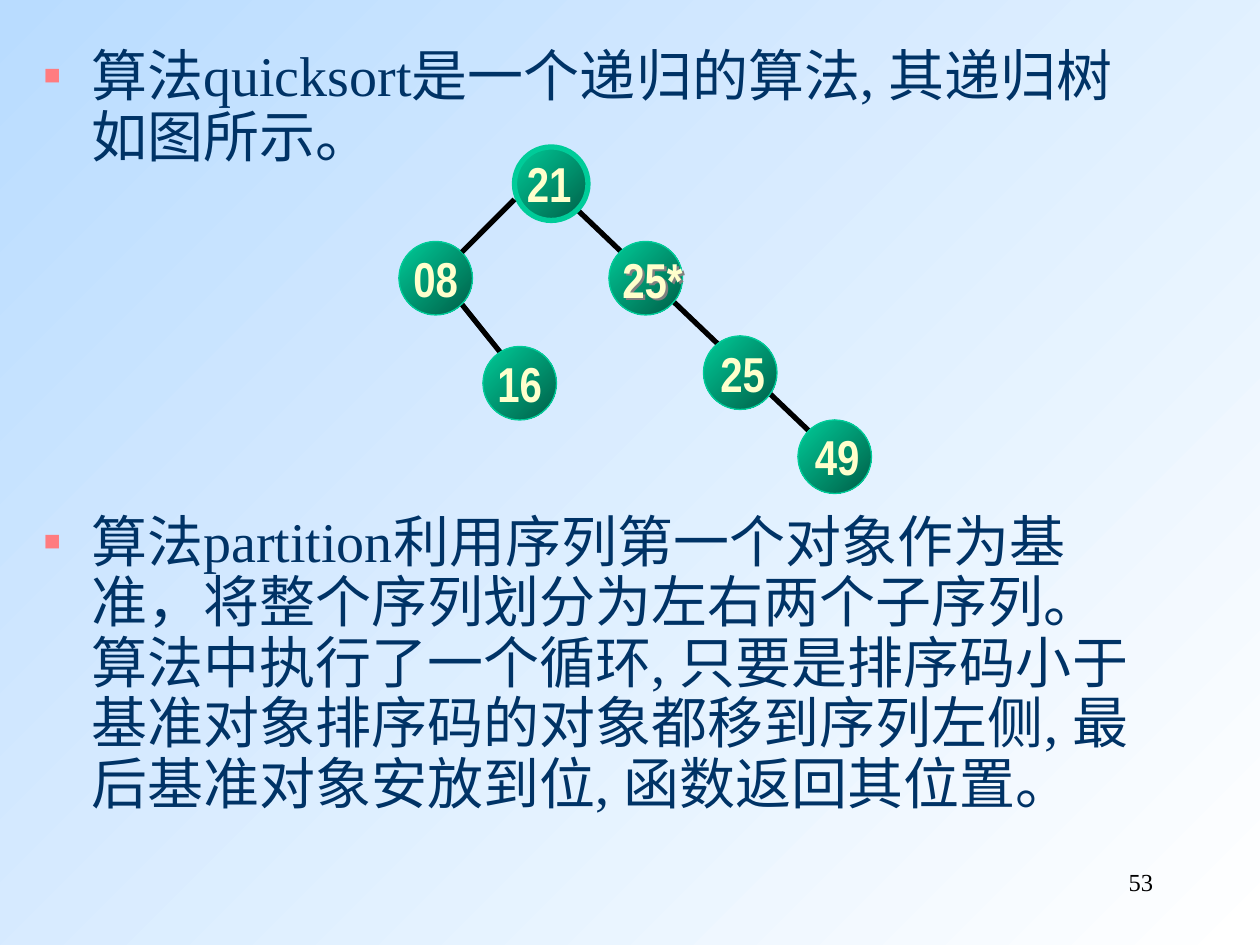
from lxml.etree import SubElement
from pptx import Presentation
from pptx.dml.color import RGBColor
from pptx.enum.shapes import MSO_CONNECTOR as Connector, MSO_SHAPE as Shape
from pptx.enum.text import MSO_ANCHOR as Anchor, PP_ALIGN as Align
from pptx.oxml.ns import qn
from pptx.util import Pt

SKY = RGBColor(0xB9, 0xDC, 0xFF)
WHITE = RGBColor(0xFF, 0xFF, 0xFF)
BLACK = RGBColor(0, 0, 0)
GRAY = RGBColor(0x80, 0x80, 0x80)
NAVY = RGBColor(0, 0x33, 0x66)
CORAL = RGBColor(0xFF, 0x7C, 0x80)
GREEN = RGBColor(0, 0xCC, 0x99)
DARK_GREEN = RGBColor(0, 0x5E, 0x47)
CREAM = RGBColor(0xFF, 0xFF, 0xCC)
SERIF = "Times New Roman"
NARROW = "Arial Narrow"
NODE_SIZE = 42

POINTS = [
    "算法quicksort是一个递归的算法, 其递归树如图所示。",
    "算法partition利用序列第一个对象作为基准，将整个序列划分为左右两个子序列。"
    "算法中执行了一个循环, 只要是排序码小于基准对象排序码的对象都移到序列左侧, "
    "最后基准对象安放到位, 函数返回其位置。",
]
BACK_EDGES = [(36, 90, 60, 120), (102, 36, 234, 162)]
FRONT_EDGE = (66, 30, 36, 60)
LABELLED_NODES = [
    ("49", 228, 156, 2.5, 0, 40),
    ("25", 174, 108, 2.5, 1, 40),
    ("21", 66, 0, 0, 0, 49),
    ("25*", 120, 54, 0.5, 1, 49),
]
LEFT_NODES = [("08", 0, 54), ("16", 48, 114)]


def shade(fill, start, end):
    fill.gradient()
    fill.gradient_angle = 315
    for stop, color in zip(fill.gradient_stops, (start, end)):
        stop.color.rgb = color


def add_span(para, text, size, color, name, bold=False):
    span = para.add_run()
    span.text = text
    span.font.size = Pt(size)
    span.font.bold = bold
    span.font.color.rgb = color
    span.font.name = name


def add_box(page, left, top, width, height):
    box = page.shapes.add_textbox(Pt(left), Pt(top), Pt(width), Pt(height))
    box.text_frame.word_wrap = True
    return box


def add_bullet(para):
    props = para._p.get_or_add_pPr()
    props.set("marL", str(Pt(27)))
    props.set("indent", str(-Pt(27)))
    props.set("hangingPunct", "0")
    color = SubElement(props, qn("a:buClr"))
    SubElement(color, qn("a:srgbClr"), val=str(CORAL))
    SubElement(props, qn("a:buSzPct"), val="50000")
    SubElement(props, qn("a:buFont"), typeface="Arial")
    SubElement(props, qn("a:buChar"), char="■")


def add_body(page, left, top, width, height):
    frame = add_box(page, left, top, width, height).text_frame
    for index, text in enumerate(POINTS):
        para = frame.add_paragraph() if index else frame.paragraphs[0]
        add_bullet(para)
        para.line_spacing = 0.9
        para.space_before = Pt(197 if index else 0)
        add_span(para, text, 32, NAVY, SERIF)


def add_edge(page, left, top, edge):
    x1, y1, x2, y2 = edge
    line = page.shapes.add_connector(
        Connector.STRAIGHT, Pt(left + x1), Pt(top + y1), Pt(left + x2), Pt(top + y2))
    line.line.color.rgb = BLACK
    line.line.width = Pt(3)
    SubElement(line._element.spPr, qn("a:effectLst"))


def add_node(page, left, top, border=0.75):
    node = page.shapes.add_shape(
        Shape.OVAL, Pt(left), Pt(top), Pt(NODE_SIZE), Pt(NODE_SIZE))
    node.shadow.inherit = False
    shade(node.fill, GREEN, DARK_GREEN)
    node.line.color.rgb = GREEN
    node.line.width = Pt(border)
    return node


def add_text_shadow(box):
    effects = SubElement(box._element.spPr, qn("a:effectLst"))
    shadow = SubElement(effects, qn("a:outerShdw"), dist=str(Pt(2)), dir="2700000")
    SubElement(shadow, qn("a:srgbClr"), val=str(GRAY))


def add_tree(page, left, top):
    for edge in BACK_EDGES:
        add_edge(page, left, top, edge)
    for text, x, y, dx, dy, width in LABELLED_NODES:
        add_node(page, left + x, top + y, 3 if text == "21" else 0.75)
        box = add_box(page, left + x + dx, top + y + dy, width, 41)
        box.text_frame.word_wrap = False
        add_span(box.text_frame.paragraphs[0], text, 28, CREAM, NARROW, True)
        if text == "25*":
            add_text_shadow(box)
    for text, x, y in LEFT_NODES:
        frame = add_node(page, left + x, top + y).text_frame
        frame.word_wrap = False
        frame.vertical_anchor = Anchor.MIDDLE
        para = frame.paragraphs[0]
        para.alignment = Align.CENTER
        add_span(para, text, 28, CREAM, NARROW, True)
    add_edge(page, left, top, FRONT_EDGE)


def add_page_number(page, left, top, width, height):
    para = add_box(page, left, top, width, height).text_frame.paragraphs[0]
    para.alignment = Align.RIGHT
    add_span(para, "53", 14, BLACK, SERIF)


def main():
    deck = Presentation()
    deck.slide_width, deck.slide_height = Pt(720), Pt(540)
    page = deck.slides.add_slide(deck.slide_layouts[6])
    shade(page.background.fill, SKY, WHITE)
    add_page_number(page, 516, 492, 150, 36)
    add_body(page, 18, 24, 648, 480)
    add_tree(page, 228, 84)
    deck.save("out.pptx")


if __name__ == "__main__":
    main()
